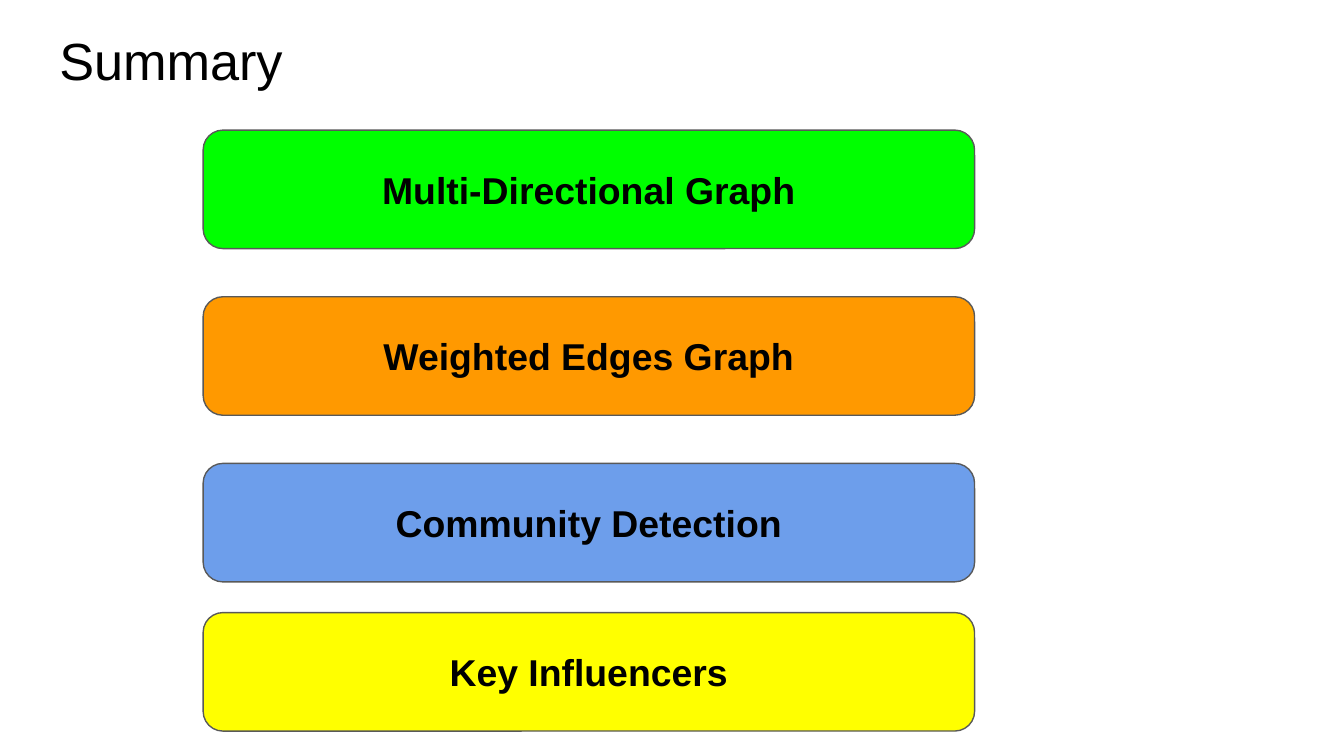
from pptx import Presentation
from pptx.dml.color import RGBColor
from pptx.enum.shapes import MSO_SHAPE
from pptx.enum.text import MSO_ANCHOR, MSO_AUTO_SIZE, PP_ALIGN
from pptx.util import Cm, Pt

BLACK = RGBColor(0x00, 0x00, 0x00)
GRAY = RGBColor(0x59, 0x59, 0x59)
GREEN = RGBColor(0x00, 0xFF, 0x00)
ORANGE = RGBColor(0xFF, 0x99, 0x00)
BLUE = RGBColor(0x6D, 0x9E, 0xEB)
YELLOW = RGBColor(0xFF, 0xFF, 0x00)

TITLE = "Summary"
TOPICS = [
    ("Multi-Directional Graph", GREEN, 2.46),
    ("Weighted Edges Graph", ORANGE, 5.61),
    ("Community Detection", BLUE, 8.76),
    ("Key Influencers", YELLOW, 11.58),
]
BAR_LEFT, BAR_WIDTH, BAR_HEIGHT = Cm(3.84), Cm(14.58), Cm(2.24)


def write(sp, text, size=20, bold=False, align=PP_ALIGN.CENTER, anchor=MSO_ANCHOR.MIDDLE):
    tf = sp.text_frame
    tf.word_wrap = True
    tf.auto_size = MSO_AUTO_SIZE.NONE
    tf.vertical_anchor = anchor
    tf.margin_left = tf.margin_right = tf.margin_top = tf.margin_bottom = Cm(0.25)
    p = tf.paragraphs[0]
    p.alignment = align
    p.line_spacing = 1.0
    p.space_before = Pt(0)
    r = p.add_run()
    r.text = text
    r.font.name = "Arial"
    r.font.size = Pt(size)
    r.font.bold = bold
    r.font.color.rgb = BLACK


prs = Presentation()
prs.slide_width, prs.slide_height = Cm(25.4), Cm(14.29)
slide = prs.slides.add_slide(prs.slide_layouts[5])

title = slide.shapes.title
title.left, title.top, title.width, title.height = Cm(0.87), Cm(0.28), Cm(23.67), Cm(1.6)
write(title, TITLE, size=28, align=PP_ALIGN.LEFT, anchor=MSO_ANCHOR.TOP)

for text, color, top in TOPICS:
    bar = slide.shapes.add_shape(
        MSO_SHAPE.ROUNDED_RECTANGLE, BAR_LEFT, Cm(top), BAR_WIDTH, BAR_HEIGHT)
    bar.shadow.inherit = False
    bar.fill.solid()
    bar.fill.fore_color.rgb = color
    bar.line.color.rgb = GRAY
    bar.line.width = Pt(0.75)
    write(bar, text, bold=True)

prs.save("out.pptx")
